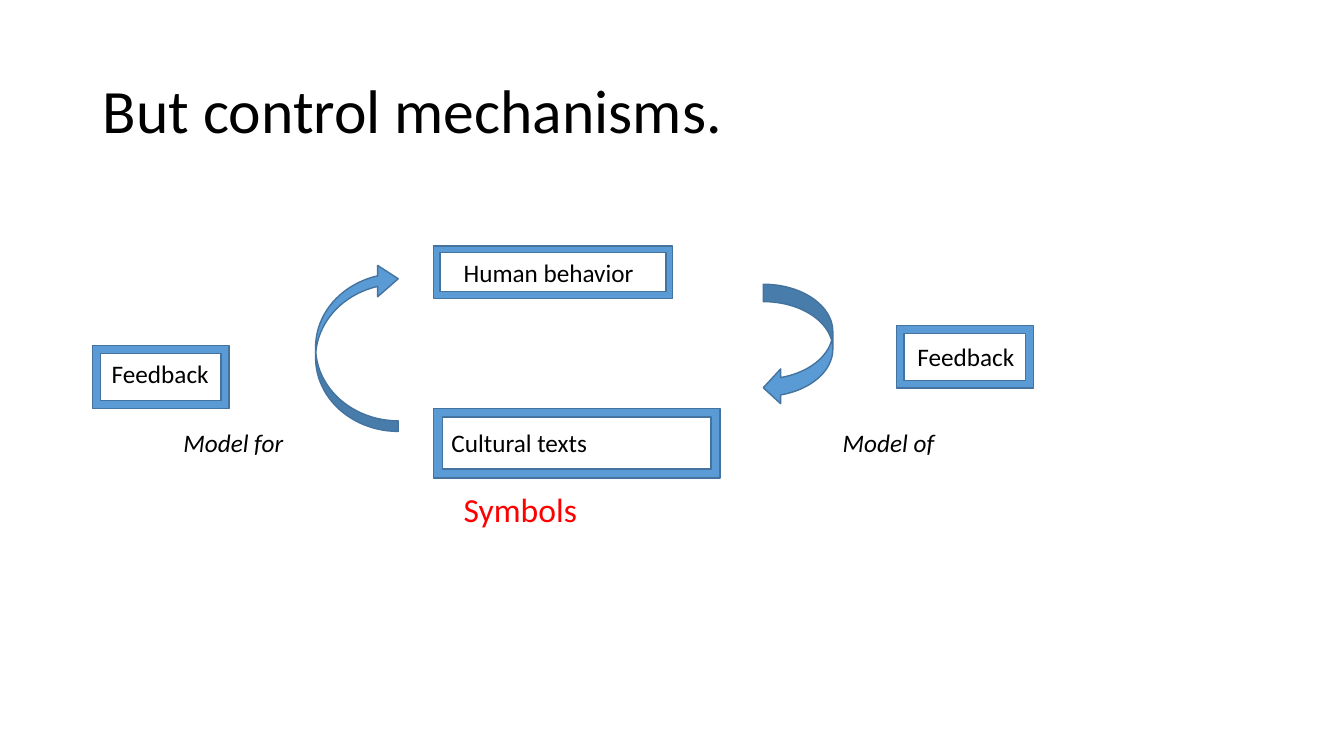
"""Build a slide showing the feedback loop between behavior and cultural texts."""
from pptx import Presentation
from pptx.dml.color import RGBColor
from pptx.enum.shapes import MSO_SHAPE
from pptx.enum.text import MSO_ANCHOR, MSO_AUTO_SIZE, PP_ALIGN
from pptx.util import Inches, Pt

TITLE = "But control mechanisms."
TITLE_AREA = (0.92, 0.4, 11.5, 1.45)
BLACK, RED, BLUE, DARK_BLUE = "000000", "FF0000", "5B9BD5", "43739E"

LABELS = [
    ("Human behavior", (4.5, 2.5, 1.97, 0.4), {}),
    ("Cultural texts", (4.38, 4.19, 2.84, 0.4), {}),
    ("Feedback", (9, 3.34, 2.21, 0.4), {}),
    ("Feedback", (1.01, 3.51, 1.69, 0.4), {}),
    ("Symbols", (4.5, 4.8, 3.28, 0.5), {"size": 24, "color": RED}),
    ("Model of", (8.26, 4.19, 2.43, 0.4), {"italic": True}),
    ("Model for", (1.72, 4.19, 1.61, 0.4), {"italic": True}),
]
ARROWS = [
    ((7.57, 2.82, 0.69, 1.2), 0, (0.25, 0.5, 0.25)),
    ((3.13, 2.61, 0.82, 1.67), 180, (0.128, 0.379, 0.25)),
]
FRAMES = [
    (4.3, 2.44, 2.37, 0.52),
    (8.89, 3.23, 1.36, 0.62),
    (4.3, 4.05, 2.84, 0.69),
    (0.92, 3.43, 1.35, 0.62),
]


def rgb(value):
    return RGBColor.from_string(value)


def inches(area):
    return [Inches(length) for length in area]


def write(text_frame, text, size=18, color=BLACK, italic=False, line_spacing=1.0):
    text_frame.word_wrap = True
    para = text_frame.paragraphs[0]
    para.alignment = PP_ALIGN.LEFT
    para.line_spacing = line_spacing
    span = para.add_run()
    span.text = text
    span.font.name = "Calibri"
    span.font.size = Pt(size)
    span.font.italic = italic
    span.font.color.rgb = rgb(color)


def add_label(slide, text, area, **style):
    box = slide.shapes.add_textbox(*inches(area))
    write(box.text_frame, text, **style)
    box.text_frame.auto_size = MSO_AUTO_SIZE.SHAPE_TO_FIT_TEXT


def add_blue_shape(slide, kind, area):
    shape = slide.shapes.add_shape(kind, *inches(area))
    shape.shadow.inherit = False
    shape.fill.solid()
    shape.fill.fore_color.rgb = rgb(BLUE)
    shape.line.color.rgb = rgb(DARK_BLUE)
    shape.line.width = Pt(1)
    return shape


def main():
    deck = Presentation()
    deck.slide_width, deck.slide_height = Inches(13.33), Inches(7.5)
    slide = deck.slides.add_slide(deck.slide_layouts[5])

    title = slide.shapes.title
    title.left, title.top, title.width, title.height = inches(TITLE_AREA)
    title.text_frame.vertical_anchor = MSO_ANCHOR.MIDDLE
    write(title.text_frame, TITLE, size=44, line_spacing=0.9)

    for area, rotation, adjustments in ARROWS:
        arrow = add_blue_shape(slide, MSO_SHAPE.CURVED_LEFT_ARROW, area)
        arrow.rotation = rotation
        for index, value in enumerate(adjustments):
            arrow.adjustments[index] = value
    for area in FRAMES:
        add_blue_shape(slide, MSO_SHAPE.FRAME, area)
    for text, area, style in LABELS:
        add_label(slide, text, area, **style)

    deck.save("out.pptx")


if __name__ == "__main__":
    main()
